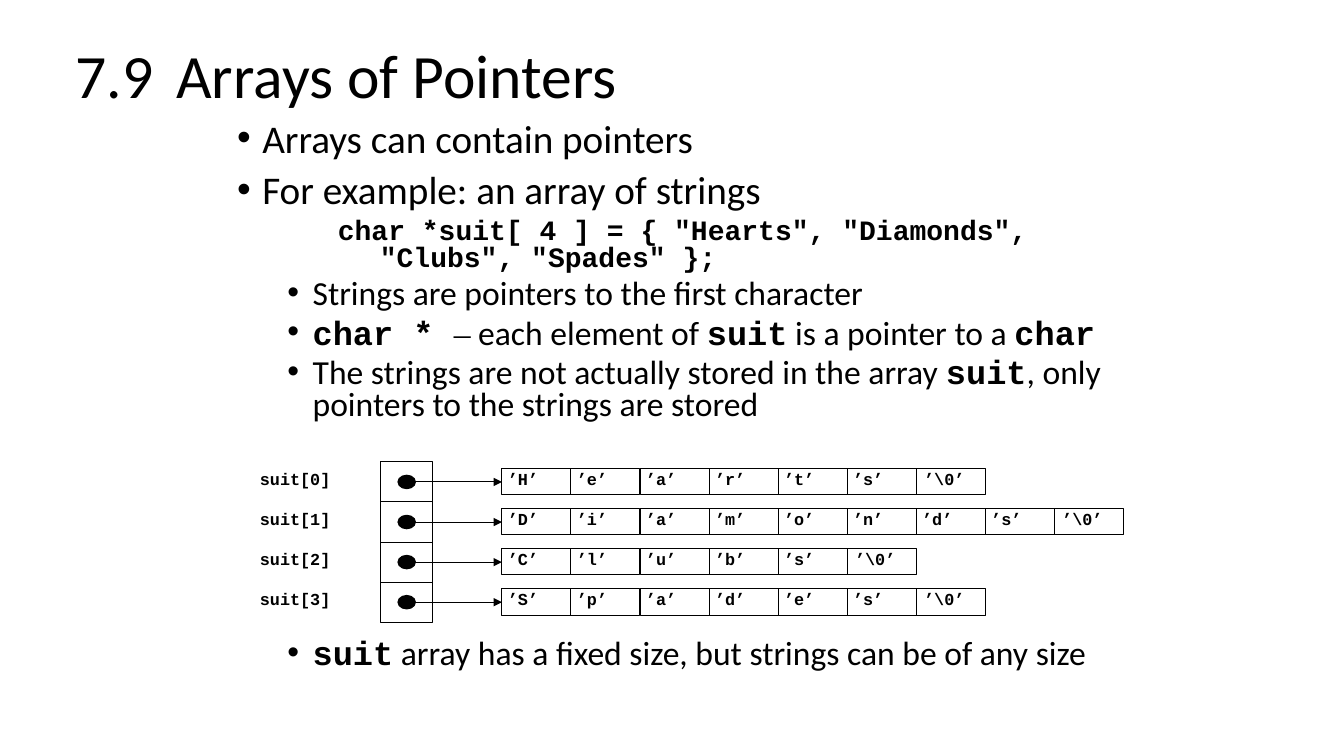
from lxml.etree import SubElement
from pptx import Presentation
from pptx.dml.color import RGBColor
from pptx.enum.shapes import MSO_CONNECTOR, MSO_SHAPE
from pptx.enum.text import MSO_ANCHOR, MSO_AUTO_SIZE, PP_ALIGN
from pptx.oxml.ns import qn
from pptx.util import Cm, Pt

HUES = {"ink": "000000"}
INK = RGBColor.from_string(HUES["ink"])
SANS, MONO, SERIF = "Calibri", "Courier New", "Times New Roman"


def write(para, text, size, face=SANS):
    run = para.add_run()
    run.text = text
    run.font.size = Pt(size)
    run.font.name = face
    run.font.bold = face == MONO
    run.font.color.rgb = INK


def draw(kind, left, top, width, height, solid=False):
    shape = slide.shapes.add_shape(kind, Cm(left), Cm(top), Cm(width), Cm(height))
    shape.shadow.inherit = False
    if solid:
        shape.fill.solid()
        shape.fill.fore_color.rgb = INK
    else:
        shape.fill.background()
    shape.line.color.rgb = INK
    shape.line.width = Pt(0.75)
    return shape


deck = Presentation()
deck.slide_width, deck.slide_height = Cm(33.87), Cm(19.05)
slide = deck.slides.add_slide(deck.slide_layouts[1])

# Title
title = slide.shapes.title
title.left, title.top, title.width, title.height = Cm(1.65), Cm(0.13), Cm(29.21), Cm(3.68)
frame = title.text_frame
frame.auto_size = MSO_AUTO_SIZE.NONE
frame.vertical_anchor = MSO_ANCHOR.MIDDLE
para = frame.paragraphs[0]
para.alignment = PP_ALIGN.LEFT
para.line_spacing = 0.9
write(para, "7.9\tArrays of Pointers", 44)

# Body: level, space before, size, runs
points = [
    (0, 0, 28, [("Arrays can contain pointers", SANS)]),
    (0, 10, 28, [("For example: an array of strings", SANS)]),
    (2, 5, 20, [('char *suit[ 4 ] = { "Hearts", "Diamonds",', MONO),
                ('\n', MONO),
                (' "Clubs", "Spades" };', MONO)]),
    (1, 5, 24, [("Strings are pointers to the first character", SANS)]),
    (1, 5, 24, [("char * ", MONO), ("–", SERIF), (" each element of ", SANS),
                ("suit", MONO), (" is a pointer to a ", SANS), ("char", MONO)]),
    (1, 5, 24, [("The strings are not actually stored in the array ", SANS),
                ("suit", MONO), (", only pointers to the strings are stored", SANS)]),
    (1, 154.5, 24, [("suit", MONO),
                    (" array has a fixed size, but strings can be of any size", SANS)]),
]
body = slide.placeholders[1]
body.left, body.top, body.width, body.height = Cm(5.72), Cm(2.97), Cm(22.66), Cm(15.04)
frame = body.text_frame
frame.auto_size = MSO_AUTO_SIZE.NONE
frame.vertical_anchor = MSO_ANCHOR.TOP
for spot, (level, gap, size, runs) in enumerate(points):
    para = frame.add_paragraph() if spot else frame.paragraphs[0]
    para.level = level
    props = para._p.get_or_add_pPr()
    props.set("marL", str(Cm(0.635 + 1.27 * level)))
    props.set("indent", str(Cm(-0.635)))
    if level == 2:
        SubElement(props, qn("a:buNone"))
    else:
        SubElement(props, qn("a:buChar")).set("char", "•")
    para.line_spacing = 0.8
    para.space_before = Pt(gap)
    for text, face in runs:
        if text == "\n":
            para.add_line_break()
        else:
            write(para, text, size, face)

# Pointer array with its strings
TOP, PITCH = 11.64, 1.01
BOX, WIDE = 9.6, 1.3
CELLS, STEP = 12.65, 1.74
for row, word in enumerate(["Hearts", "Diamonds", "Clubs", "Spades"]):
    top = TOP + row * PITCH
    mid = top + PITCH / 2

    # Label
    label = slide.shapes.add_textbox(Cm(6.55), Cm(top + 0.17), Cm(3), Cm(0.79))
    frame = label.text_frame
    frame.word_wrap = True
    frame.margin_left = frame.margin_right = frame.margin_top = frame.margin_bottom = 0
    write(frame.paragraphs[0], f"suit[{row}]", 12, MONO)

    # Array element, dot and arrow
    draw(MSO_SHAPE.RECTANGLE, BOX, top, WIDE, PITCH)
    draw(MSO_SHAPE.OVAL, BOX + WIDE / 2 - 0.22, mid - 0.17, 0.44, 0.34, True)
    arrow = slide.shapes.add_connector(
        MSO_CONNECTOR.STRAIGHT, Cm(BOX + WIDE / 2 + 0.22), Cm(mid), Cm(CELLS), Cm(mid))
    arrow.line.color.rgb = INK
    arrow.line.width = Pt(0.75)
    SubElement(arrow.line._get_or_add_ln(), qn("a:tailEnd")).set("type", "triangle")
    SubElement(arrow._element.spPr, qn("a:effectLst"))

    # Characters
    for col, char in enumerate([*word, r"\0"]):
        cell = draw(MSO_SHAPE.RECTANGLE, CELLS + col * STEP, top + 0.16, STEP, 0.67)
        frame = cell.text_frame
        frame.word_wrap = False
        frame.vertical_anchor = MSO_ANCHOR.TOP
        frame.margin_left = Cm(0.15 if col < len(word) else 0.2)
        frame.margin_right = frame.margin_top = frame.margin_bottom = 0
        para = frame.paragraphs[0]
        para.alignment = PP_ALIGN.LEFT
        write(para, f"’{char}’", 12, MONO)

deck.save("out.pptx")
